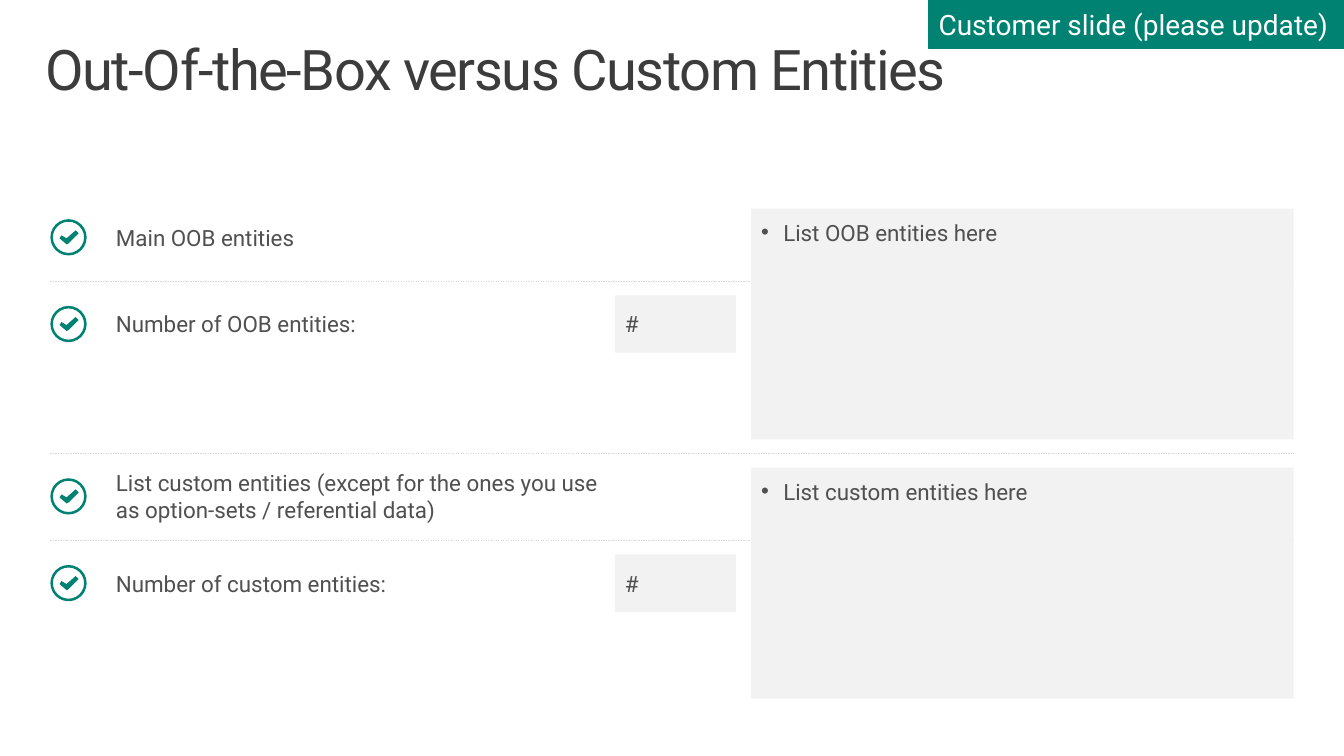
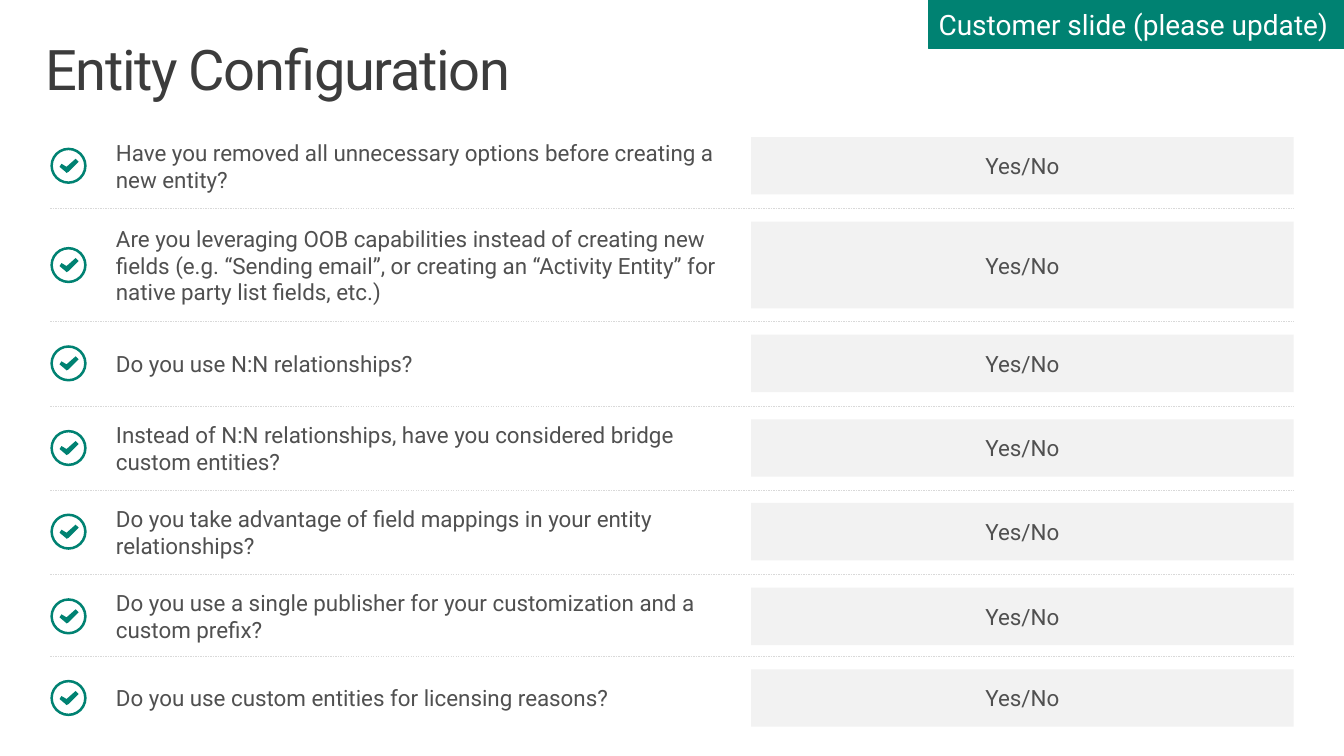
from dataclasses import dataclass

from pptx import Presentation
from pptx.dml.color import RGBColor
from pptx.enum.dml import MSO_LINE
from pptx.enum.shapes import MSO_CONNECTOR, MSO_SHAPE
from pptx.enum.text import MSO_ANCHOR, PP_ALIGN
from pptx.oxml.ns import qn
from pptx.util import Inches, Pt
from lxml import etree

RECT, DONUT = MSO_SHAPE.RECTANGLE, MSO_SHAPE.DONUT
STRAIGHT, DASH = MSO_CONNECTOR.STRAIGHT, MSO_LINE.DASH
TOP, MIDDLE = MSO_ANCHOR.TOP, MSO_ANCHOR.MIDDLE
LEFT, CENTER = PP_ALIGN.LEFT, PP_ALIGN.CENTER


@dataclass(frozen=True)
class Theme:
    """Colours, font, type sizes and shared columns (inches)."""
    font: str = "Roboto"
    title: str = "3C3C3C"
    body: str = "505050"
    accent: str = "008272"
    panel: str = "F2F2F2"
    rule: str = "D9D9D9"
    white: str = "FFFFFF"
    title_size: int = 40
    tag_size: int = 20
    body_size: int = 16
    margin: float = 0.5
    right: float = 12.83
    panel_left: float = 7.45
    row_height: float = 0.57


T = Theme()
PANEL_WIDTH = T.right - T.panel_left
ICON = 0.36
TICK = [(25, 11), (16, 19), (11, 16), (9, 19), (15, 24), (16, 25), (18, 24), (28, 14)]

# Each group: top, list label, count label, panel text
ENTITY_GROUPS = [
    (2.07, "Main OOB entities", "Number of OOB entities:", "List OOB entities here"),
    (4.64, "List custom entities (except for the ones you use as option-sets / "
           "referential data)",
     "Number of custom entities:", "List custom entities here"),
]

# Each question: top, height of the answer box, text
QUESTIONS = [
    (1.36, 0.57, "Have you removed all unnecessary options before creating a new entity?"),
    (2.2, 0.86, "Are you leveraging OOB capabilities instead of creating new fields "
                "(e.g. “Sending email”, or creating an “Activity Entity” for native "
                "party list fields, etc.)"),
    (3.32, 0.57, "Do you use N:N relationships?"),
    (4.16, 0.57, "Instead of N:N relationships, have you considered bridge custom entities?"),
    (4.99, 0.57, "Do you take advantage of field mappings in your entity relationships?"),
    (5.83, 0.57, "Do you use a single publisher for your customization and a custom prefix?"),
    (6.64, 0.57, "Do you use custom entities for licensing reasons?"),
]


def rgb(color):
    """Turn a hex string into a colour."""
    return RGBColor.from_string(color)


def paint(sp, color):
    """Give a shape a flat fill with no line or shadow."""
    sp.shadow.inherit = False
    sp.fill.solid()
    sp.fill.fore_color.rgb = rgb(color)
    sp.line.fill.background()


def write(sp, text, size=T.body_size, color=T.body, align=LEFT, anchor=MIDDLE,
          insets=(0.1, 0.05, 0.1, 0.05), line_spacing=None, tracking=None, bullet=False):
    """Write one formatted paragraph into a shape."""
    tf = sp.text_frame
    tf.word_wrap = True
    tf.vertical_anchor = anchor
    tf.margin_left, tf.margin_top, tf.margin_right, tf.margin_bottom = map(Inches, insets)
    p = tf.paragraphs[0]
    p.alignment = align
    if line_spacing:
        p.line_spacing = line_spacing
    r = p.add_run()
    r.text = text
    r.font.name, r.font.size, r.font.color.rgb = T.font, Pt(size), rgb(color)
    if tracking:
        r.font._element.set("spc", str(tracking))
    if bullet:
        pr = p._p.get_or_add_pPr()
        pr.set("marL", str(Inches(0.22)))
        pr.set("indent", str(-Inches(0.22)))
        etree.SubElement(pr, qn("a:buFont"), typeface="Arial")
        etree.SubElement(pr, qn("a:buChar"), char="•")


def add_box(s, left, top, width, height, text, fill=None, **fmt):
    """Place text in a filled rectangle, or in a text box when there is no fill."""
    box = map(Inches, (left, top, width, height))
    if fill:
        sp = s.shapes.add_shape(RECT, *box)
        paint(sp, fill)
    else:
        sp = s.shapes.add_textbox(*box)
    write(sp, text, **fmt)
    return sp


def add_rule(s, y):
    """Draw a dashed separator between the margins."""
    line = s.shapes.add_connector(STRAIGHT, Inches(T.margin), Inches(y),
                                  Inches(T.right), Inches(y))
    line.line.color.rgb = rgb(T.rule)
    line.line.width = Pt(0.25)
    line.line.dash_style = DASH
    etree.SubElement(line._element.spPr, qn("a:effectLst"))


def add_check(s, left, top):
    """Draw a ringed tick from its top left corner."""
    ring = s.shapes.add_shape(DONUT, *map(Inches, (left, top, ICON, ICON)))
    ring.adjustments[0] = 0.07
    paint(ring, T.accent)
    outline = s.shapes.build_freeform(*TICK[0], scale=Inches(0.01))
    outline.add_line_segments(TICK[1:], close=True)
    paint(outline.convert_to_shape(Inches(left), Inches(top)), T.accent)


def add_item(s, top, width, text, height=T.row_height):
    """Place a checked label, centred in its row."""
    middle = top + height / 2
    add_box(s, T.margin + 0.05, middle - T.row_height / 2, width, T.row_height, text,
            insets=(0.6, 0.05, 0.1, 0.05))
    add_check(s, T.margin, middle - ICON / 2)


def add_entity_group(s, top, list_label, count_label, panel_text):
    """Place two items with a count field and a list panel."""
    count_top = top + 0.86
    add_item(s, top, 5.51, list_label)
    add_item(s, count_top, 5.51, count_label)
    add_box(s, 6.1, count_top, 1.2, T.row_height, "#", fill=T.panel)
    add_box(s, T.panel_left, top, PANEL_WIDTH, 2.29, panel_text, fill=T.panel,
            anchor=TOP, insets=(0.1, 0.1, 0.1, 0.05), bullet=True)


def add_question(s, top, height, text):
    """Place a question and its answer box."""
    add_item(s, top, 6.75, text, height)
    add_box(s, T.panel_left, top, PANEL_WIDTH, height, "Yes/No", fill=T.panel, align=CENTER)


def add_slide(prs, title):
    """Add a blank slide with the shared title and corner tag."""
    s = prs.slides.add_slide(prs.slide_layouts[6])
    add_box(s, 0.29, 0.32, 12.75, 0.98, title, size=T.title_size, color=T.title,
            anchor=TOP, insets=(0.16, 0.1, 0.16, 0.1), line_spacing=0.9, tracking=-100)
    tag = add_box(s, 9.21, 0, 4.12, 0.48, "Customer slide (please update)",
                  fill=T.accent, size=T.tag_size, color=T.white)
    tag.line.color.rgb = rgb(T.accent)
    tag.line.width = Pt(0.25)
    return s


def entities_slide(prs):
    """Compare out-of-the-box and custom entities."""
    s = add_slide(prs, "Out-Of-the-Box versus Custom Entities")
    for y in (2.79, 4.5, 5.36):
        add_rule(s, y)
    for group in ENTITY_GROUPS:
        add_entity_group(s, *group)


def configuration_slide(prs):
    """List the configuration questions."""
    s = add_slide(prs, "Entity Configuration")
    for i, (top, height, text) in enumerate(QUESTIONS):
        if i:
            add_rule(s, top - 0.13)
        add_question(s, top, height, text)


def main():
    """Build and save the presentation."""
    prs = Presentation()
    prs.slide_width, prs.slide_height = Inches(13.33), Inches(7.5)
    entities_slide(prs)
    configuration_slide(prs)
    prs.save("out.pptx")


main()
